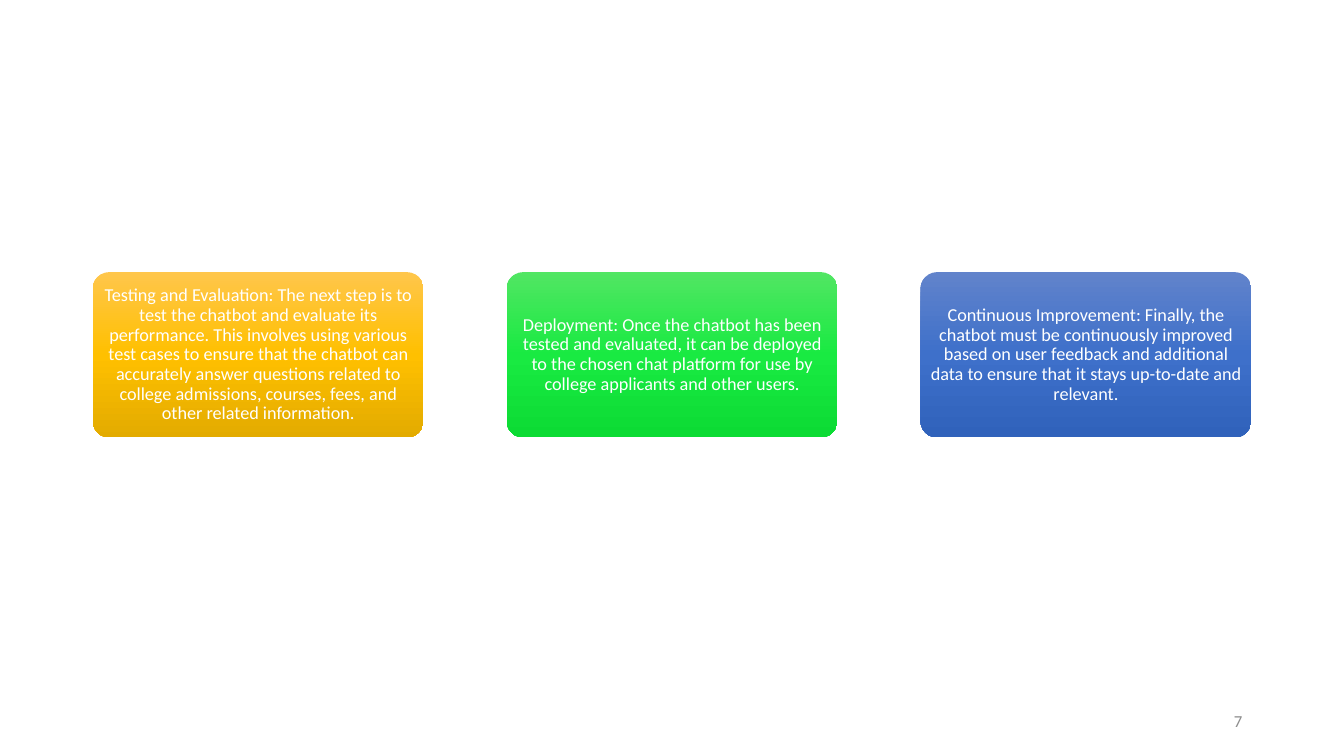
from copy import deepcopy
from dataclasses import dataclass

from pptx import Presentation
from pptx.dml.color import RGBColor
from pptx.enum.shapes import MSO_SHAPE
from pptx.enum.text import MSO_ANCHOR, PP_ALIGN
from pptx.slide import Slide
from pptx.text.text import TextFrame
from pptx.util import Inches, Pt

ROUNDED = MSO_SHAPE.ROUNDED_RECTANGLE
MIDDLE = MSO_ANCHOR.MIDDLE
CENTER, RIGHT = PP_ALIGN.CENTER, PP_ALIGN.RIGHT

SLIDE_WIDTH, SLIDE_HEIGHT = 13.33, 7.5
CARDS_LEFT, CARDS_RIGHT, CARDS_TOP = 0.92, 12.41, 2.7
CARD_WIDTH, CARD_HEIGHT = 3.28, 1.64


@dataclass(frozen=True)
class Theme:
    """Colours, font and type sizes of the slide."""
    font: str = "Calibri"
    step_size: int = 13
    number_size: int = 12
    step_text: str = "FFFFFF"
    number_text: str = "8C8C8C"
    amber: tuple[str, str, str] = ("FFC64B", "FFC000", "E3AB00")
    green: tuple[str, str, str] = ("51E663", "19EA42", "0CDB34")
    blue: tuple[str, str, str] = ("6183CB", "3E70CA", "3062BB")


@dataclass(frozen=True)
class Step:
    """One project step with its gradient colours."""
    text: str
    colors: tuple[str, str, str]


THEME = Theme()
STEPS = [
    Step("Testing and Evaluation: The next step is to test the chatbot and evaluate its "
         "performance. This involves using various test cases to ensure that the chatbot can "
         "accurately answer questions related to college admissions, courses, fees, and other "
         "related information.", THEME.amber),
    Step("Deployment: Once the chatbot has been tested and evaluated, it can be deployed to "
         "the chosen chat platform for use by college applicants and other users.",
         THEME.green),
    Step("Continuous Improvement: Finally, the chatbot must be continuously improved based on "
         "user feedback and additional data to ensure that it stays up-to-date and relevant.",
         THEME.blue),
]


def write(frame: TextFrame, text: str, size: int, color: str, align: PP_ALIGN) -> None:
    """Fill a text frame with one formatted paragraph."""
    frame.text = text
    frame.word_wrap = True
    frame.vertical_anchor = MIDDLE
    paragraph = frame.paragraphs[0]
    paragraph.alignment = align
    font = paragraph.runs[0].font
    font.name = THEME.font
    font.size = Pt(size)
    font.color.rgb = RGBColor.from_string(color)


def add_step(slide: Slide, step: Step, left: float) -> None:
    """Draw a rounded gradient card holding the text of a step."""
    card = slide.shapes.add_shape(ROUNDED, Inches(left), Inches(CARDS_TOP),
                                  Inches(CARD_WIDTH), Inches(CARD_HEIGHT))
    card.adjustments[0] = 0.1
    card.shadow.inherit = False
    card.line.fill.background()
    card.fill.gradient()
    card.fill.gradient_angle = 270
    stop_list = card.element.spPr.xpath("a:gradFill/a:gsLst")[0]
    stop_list.append(deepcopy(stop_list[-1]))
    for index, (stop, color) in enumerate(zip(card.fill.gradient_stops, step.colors)):
        stop.position = index / 2
        stop.color.rgb = RGBColor.from_string(color)
    frame = card.text_frame
    frame.margin_left = frame.margin_right = Inches(0.03)
    frame.margin_top = frame.margin_bottom = Inches(0.02)
    write(frame, step.text, THEME.step_size, THEME.step_text, CENTER)
    frame.paragraphs[0].line_spacing = 0.9


def main() -> None:
    """Build the slide and save it."""
    deck = Presentation()
    deck.slide_width, deck.slide_height = Inches(SLIDE_WIDTH), Inches(SLIDE_HEIGHT)
    slide = deck.slides.add_slide(deck.slide_layouts[6])
    pitch = (CARDS_RIGHT - CARDS_LEFT - CARD_WIDTH) / (len(STEPS) - 1)
    for index, step in enumerate(STEPS):
        add_step(slide, step, CARDS_LEFT + index * pitch)
    page_number = slide.shapes.add_textbox(Inches(9.42), Inches(6.95), Inches(3), Inches(0.4))
    write(page_number.text_frame, "7", THEME.number_size, THEME.number_text, RIGHT)
    deck.save("out.pptx")


if __name__ == "__main__":
    main()
